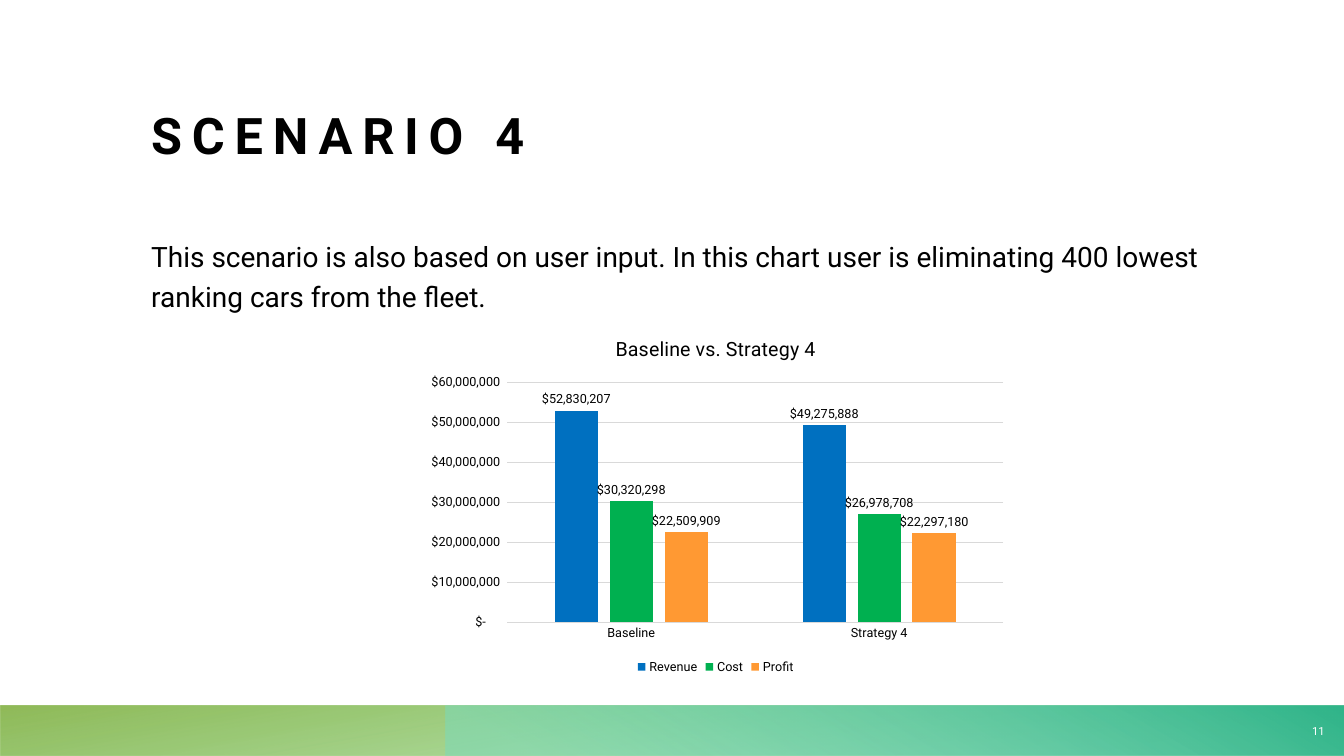
"""Build the Scenario 4 slide: heading, explanation, column chart and footer band."""
from dataclasses import dataclass

from lxml import etree
from pptx import Presentation
from pptx import util as u
from pptx.chart.data import CategoryChartData
from pptx.dml.color import RGBColor
from pptx.enum import chart as charts, shapes, text
from pptx.oxml.ns import qn


@dataclass(frozen=True)
class Theme:
    """Colours, font and type sizes of the slide."""
    font: str = "Roboto"
    ink: str = "000000"
    white: str = "FFFFFF"
    rule: str = "D9D9D9"
    revenue: str = "0070C0"
    cost: str = "00B050"
    profit: str = "FF9933"
    olive_band: tuple = ((14, "47B732", 28), (100, "7DAE3B", 85))
    teal_band: tuple = ((9, "7BDBBC", 55), (99, "31B58A", 100))
    heading: int = 36
    body: int = 20
    chart_title: int = 14
    chart_label: int = 9
    page_number: int = 8
    dollars: str = r'_("$"* #,##0_);_("$"* \(#,##0\);_("$"* "-"??_);_(@_)'


class SlideBuilder:
    """Adds styled elements to one slide."""

    def __init__(self, slide, theme):
        """Keep the slide and its theme."""
        self.slide = slide
        self.theme = theme

    def style(self, font, size, color=None, bold=False):
        """Apply the theme font with a size and colour."""
        font.name = self.theme.font
        font.size = u.Pt(size)
        font.bold = bold
        font.color.rgb = RGBColor.from_string(color or self.theme.ink)

    def band(self, box, stops, angle, rotation=0):
        """Add a mirrored rectangle with a translucent gradient."""
        shape = self.slide.shapes.add_shape(shapes.MSO_SHAPE.RECTANGLE, *map(u.Pt, box))
        shape.shadow.inherit = False
        shape.line.fill.background()
        shape.rotation = rotation
        shape._element.spPr.xfrm.set("flipH", "1")
        shape.fill.gradient()
        shape.fill.gradient_angle = 360 - angle
        for stop, (position, color, _) in zip(shape.fill.gradient_stops, stops):
            stop.position = position / 100
            stop.color.rgb = RGBColor.from_string(color)
        colors = shape._element.xpath(".//a:gs/a:srgbClr")
        for color, (_, _, opacity) in zip(colors, stops):
            etree.SubElement(color, qn("a:alpha")).set("val", str(opacity * 1000))

    def text(self, box, wording, size, color=None, bold=False, insets=(0, 0, 0, 0),
             anchor=text.MSO_ANCHOR.TOP, align=text.PP_ALIGN.LEFT, tracking=0):
        """Add a wrapped text box and return its paragraph."""
        frame = self.slide.shapes.add_textbox(*map(u.Pt, box)).text_frame
        frame.word_wrap = True
        frame.vertical_anchor = anchor
        (frame.margin_left, frame.margin_top,
         frame.margin_right, frame.margin_bottom) = map(u.Pt, insets)
        paragraph = frame.paragraphs[0]
        paragraph.text = wording
        paragraph.alignment = align
        self.style(paragraph.font, size, color, bold)
        if tracking:
            for properties in paragraph._p.xpath(".//a:defRPr"):
                properties.set("spc", str(tracking * 100))
        return paragraph

    def line(self, line_format):
        """Draw a chart line in the rule colour."""
        line_format.color.rgb = RGBColor.from_string(self.theme.rule)
        line_format.width = u.Pt(0.75)

    def column_chart(self, box, title, categories, series):
        """Add a labelled clustered column chart in dollars."""
        theme = self.theme
        data = CategoryChartData(number_format=theme.dollars)
        data.categories = categories
        for name, _, values in series:
            data.add_series(name, values)
        chart = self.slide.shapes.add_chart(
            charts.XL_CHART_TYPE.COLUMN_CLUSTERED, *map(u.Pt, box), data).chart
        self.style(chart.font, theme.chart_label)
        chart.has_title = True
        chart.chart_title.include_in_layout = False
        heading = chart.chart_title.text_frame.paragraphs[0]
        heading.text = title
        self.style(heading.font, theme.chart_title)
        chart.has_legend = True
        chart.legend.position = charts.XL_LEGEND_POSITION.BOTTOM
        chart.legend.include_in_layout = False
        self.style(chart.legend.font, theme.chart_label)
        for axis in (chart.category_axis, chart.value_axis):
            axis.major_tick_mark = axis.minor_tick_mark = charts.XL_TICK_MARK.NONE
            self.style(axis.tick_labels.font, theme.chart_label)
        self.line(chart.category_axis.format.line)
        self.line(chart.value_axis.major_gridlines.format.line)
        chart.value_axis.format.line.fill.background()
        chart.value_axis.minimum_scale = 0
        chart.value_axis.maximum_scale = 60_000_000
        chart.value_axis.major_unit = 10_000_000
        chart.value_axis.tick_labels.number_format = theme.dollars
        chart.value_axis.tick_labels.number_format_is_linked = False
        plot = chart.plots[0]
        plot.gap_width = 219
        plot.overlap = -27
        plot.vary_by_categories = False
        for columns, (_, color, _) in zip(plot.series, series):
            columns.format.fill.solid()
            columns.format.fill.fore_color.rgb = RGBColor.from_string(color)
            labels = columns.data_labels
            labels.show_value = True
            labels.position = charts.XL_LABEL_POSITION.OUTSIDE_END
            labels.number_format = theme.dollars
            labels.number_format_is_linked = False
            self.style(labels.font, theme.chart_label)


def main():
    """Create the presentation and save it."""
    theme = Theme()
    presentation = Presentation()
    presentation.slide_width = u.Pt(960)
    presentation.slide_height = u.Pt(540)
    slide = presentation.slides.add_slide(presentation.slide_layouts[6])
    builder = SlideBuilder(slide, theme)
    builder.band((0, 504, 960, 36), theme.olive_band, 100, rotation=180)
    builder.band((318, 504, 642, 36), theme.teal_band, 240)
    builder.text((108, 62.6, 806.4, 97.2), "SCENARIO 4", theme.heading, bold=True,
                 insets=(0, 0, 0, 42), anchor=text.MSO_ANCHOR.BOTTOM, tracking=7)
    explanation = builder.text(
        (108, 166.3, 806.4, 311.8),
        "This scenario is also based on user input. In this chart user is "
        "eliminating 400 lowest ranking cars from the fleet.", theme.body)
    explanation.line_spacing = 1.2
    explanation.space_before = u.Pt(10)
    builder.column_chart(
        (297.4, 228.2, 427.7, 256.3), "Baseline vs. Strategy 4",
        ("Baseline", "Strategy 4"),
        (("Revenue", theme.revenue, (52830207, 49275888)),
         ("Cost", theme.cost, (30320298, 26978708)),
         ("Profit", theme.profit, (22509909, 22297180))))
    builder.text((918.7, 504.7, 34.6, 35.3), "11", theme.page_number, theme.white,
                 insets=(7.2, 3.6, 7.2, 3.6), anchor=text.MSO_ANCHOR.MIDDLE,
                 align=text.PP_ALIGN.RIGHT)
    presentation.save("out.pptx")


if __name__ == "__main__":
    main()
